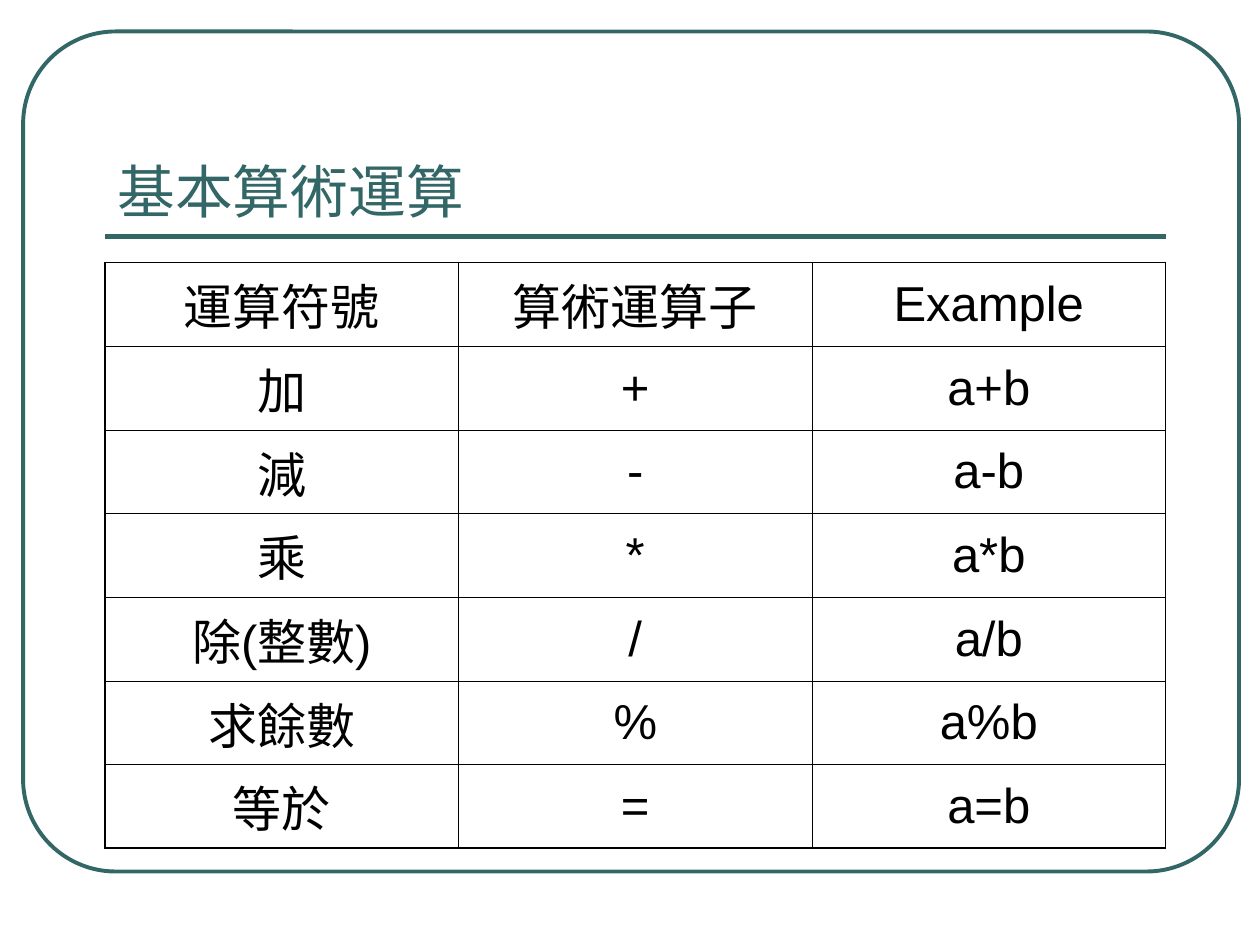
from lxml import etree
from pptx import Presentation
from pptx import util as u
from pptx.dml.color import RGBColor
from pptx.enum import shapes, text
from pptx.oxml.ns import qn

TEAL = "336666"
BLACK = "000000"
WIDE, HIGH = 10, 7.5
COLS, ROWS = 120, 90
LEFT, SPAN = 10, 101
THICK, THIN = 1.08, 0.45

DATA = [
    ("運算符號", "算術運算子", "Example"),
    ("加", "+", "a+b"),
    ("減", "-", "a-b"),
    ("乘", "*", "a*b"),
    ("除(整數)", "/", "a/b"),
    ("求餘數", "%", "a%b"),
    ("等於", "=", "a=b"),
]


def hue(code):
    return RGBColor.from_string(code)


def across(n):
    return u.Inches(n * WIDE / COLS)


def down(n):
    return u.Inches(n * HIGH / ROWS)


def box(x, y, w, h):
    return across(x), down(y), across(w), down(h)


def write(frame, words, size, font, color, align, before=0):
    para = frame.paragraphs[0]
    para.alignment = align
    para.space_before = u.Pt(before)
    run = para.add_run()
    run.text = words
    run.font.size = u.Pt(size)
    run.font.name = font
    run.font.color.rgb = hue(color)


def border(cell, side, width):
    props = cell._tc.get_or_add_tcPr()
    line = etree.SubElement(props, qn("a:ln" + side), w=str(u.Pt(width)))
    fill = etree.SubElement(line, qn("a:solidFill"))
    etree.SubElement(fill, qn("a:srgbClr"), val=BLACK)


def add_frame(slide):
    frame = slide.shapes.add_shape(
        shapes.MSO_SHAPE.ROUNDED_RECTANGLE, *box(2.2, 3, 115.8, 80))
    frame.adjustments[0] = 0.11
    frame.shadow.inherit = False
    frame.fill.background()
    frame.line.color.rgb = hue(TEAL)
    frame.line.width = u.Pt(2.25)


def add_rule(slide, y):
    rule = slide.shapes.add_connector(
        shapes.MSO_CONNECTOR.STRAIGHT,
        across(LEFT), down(y), across(LEFT + SPAN), down(y))
    rule.line.color.rgb = hue(TEAL)
    rule.line.width = u.Pt(3)
    etree.SubElement(rule._element.spPr, qn("a:effectLst"))


def add_title(slide, words):
    frame = slide.shapes.add_textbox(*box(LEFT, 7, SPAN, 15)).text_frame
    frame.word_wrap = True
    frame.vertical_anchor = text.MSO_ANCHOR.BOTTOM
    write(frame, words, size=33, font="Montserrat", color=TEAL,
          align=text.PP_ALIGN.LEFT)


def add_grid(slide, data):
    rows, cols = len(data), len(data[0])
    table = slide.shapes.add_table(
        rows, cols, *box(LEFT, 25, SPAN, 55.8)).table
    table.first_row = False
    table.horz_banding = False
    for r, row in enumerate(data):
        for c, words in enumerate(row):
            cell = table.cell(r, c)
            edges = {"L": c == 0, "R": c == cols - 1,
                     "T": r == 0, "B": r == rows - 1}
            for side, outer in edges.items():
                border(cell, side, THICK if outer else THIN)
            cell.fill.background()
            cell.vertical_anchor = text.MSO_ANCHOR.MIDDLE
            write(cell.text_frame, words, size=28, font="Arial", color=BLACK,
                  align=text.PP_ALIGN.CENTER, before=7)


def main():
    deck = Presentation()
    deck.slide_width = u.Inches(WIDE)
    deck.slide_height = u.Inches(HIGH)
    slide = deck.slides.add_slide(deck.slide_layouts[6])
    add_frame(slide)
    add_rule(slide, 22.5)
    add_title(slide, "基本算術運算")
    add_grid(slide, DATA)
    deck.save("out.pptx")


if __name__ == "__main__":
    main()
